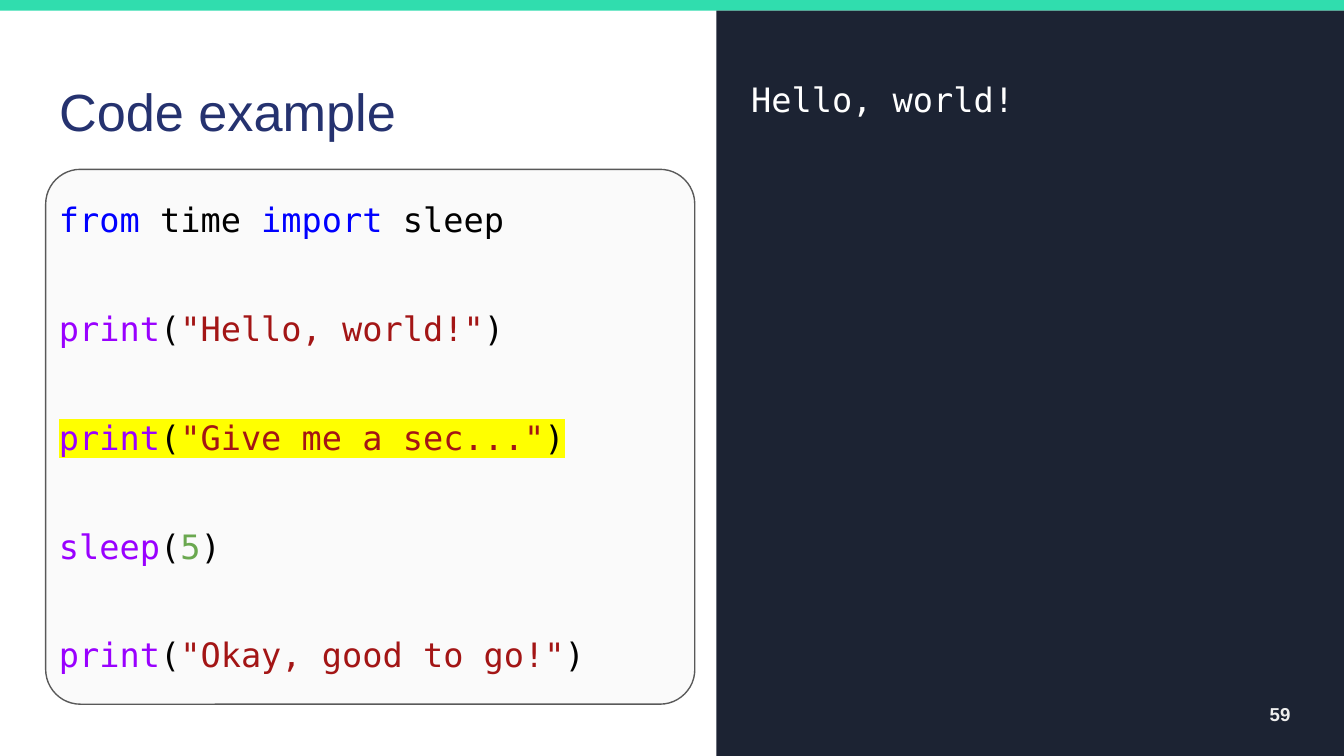
from dataclasses import dataclass
from typing import NamedTuple, Optional

from lxml.etree import SubElement
from pptx import Presentation
from pptx.dml.color import RGBColor as RGB
from pptx.enum.shapes import MSO_SHAPE as Shape
from pptx.enum.text import MSO_ANCHOR as Anchor, MSO_AUTO_SIZE as AutoSize, PP_ALIGN as Align
from pptx.oxml.ns import qn
from pptx.util import Inches, Pt


@dataclass(frozen=True)
class Theme:
    accent: str = "30DDAE"
    console: str = "1C2333"
    card: str = "FAFAFA"
    card_line: str = "595959"
    title: str = "25326F"
    keyword: str = "0000FF"
    plain: str = "000000"
    call: str = "9900FF"
    string: str = "A31515"
    number: str = "6AA84F"
    highlight: str = "FFFF00"
    output: str = "FFFFFF"
    page: str = "EEEEEE"
    sans: str = "Arial"
    mono: str = "DejaVu Sans Mono"
    title_size: int = 28
    code_size: int = 18
    page_size: int = 10


class Box(NamedTuple):
    left: float
    top: float
    width: float
    height: float

    def lengths(self) -> list:
        return [Inches(value) for value in self]


class Token(NamedTuple):
    text: str
    color: str


class CodeLine(NamedTuple):
    tokens: list[Token]
    highlight: Optional[str] = None


THEME = Theme()


def call_line(function: str, argument: str, color: str, highlight: Optional[str] = None) -> CodeLine:
    tokens = [Token(function, THEME.call), Token("(", THEME.plain),
              Token(argument, color), Token(")", THEME.plain)]
    return CodeLine(tokens, highlight)


CODE = [
    CodeLine([Token("from", THEME.keyword), Token(" time ", THEME.plain),
              Token("import", THEME.keyword), Token(" sleep", THEME.plain)]),
    call_line("print", '"Hello, world!"', THEME.string),
    call_line("print", '"Give me a sec..."', THEME.string, THEME.highlight),
    call_line("sleep", "5", THEME.number),
    call_line("print", '"Okay, good to go!"', THEME.string),
]


def apply(target, **values) -> None:
    for name, value in values.items():
        setattr(target, name, value)


def add_panel(slide, kind: Shape, box: Box, fill: str, line: Optional[str] = None):
    panel = slide.shapes.add_shape(kind, *box.lengths())
    panel.shadow.inherit = False
    panel.fill.solid()
    panel.fill.fore_color.rgb = RGB.from_string(fill)
    if line:
        panel.line.color.rgb = RGB.from_string(line)
        panel.line.width = Pt(0.75)
    else:
        panel.line.fill.background()
    return panel


def set_frame(frame, anchor: Anchor = Anchor.TOP, top_inset: float = 0.1) -> None:
    inset = Inches(0.1)
    apply(frame, word_wrap=True, auto_size=AutoSize.NONE, vertical_anchor=anchor,
          margin_left=inset, margin_right=inset, margin_bottom=inset,
          margin_top=Inches(top_inset))


def add_run(paragraph, token: Token, font: str, size: int,
            bold: bool = False, highlight: Optional[str] = None) -> None:
    run = paragraph.add_run()
    run.text = token.text
    apply(run.font, name=font, size=Pt(size), bold=bold)
    run.font.color.rgb = RGB.from_string(token.color)
    if highlight:
        properties = run._r.get_or_add_rPr()
        marker = SubElement(properties, qn("a:highlight"))
        SubElement(marker, qn("a:srgbClr"), val=highlight)
        properties.find(qn("a:solidFill")).addnext(marker)


def add_text_box(slide, box: Box, **frame_format):
    frame = slide.shapes.add_textbox(*box.lengths()).text_frame
    set_frame(frame, **frame_format)
    return frame


def add_title(slide, box: Box, text: str) -> None:
    title = slide.shapes.title
    apply(title, **dict(zip(("left", "top", "width", "height"), box.lengths())))
    set_frame(title.text_frame)
    heading = title.text_frame.paragraphs[0]
    heading.alignment = Align.LEFT
    add_run(heading, Token(text, THEME.title), THEME.sans, THEME.title_size)


def add_code(slide, box: Box, lines: list[CodeLine]) -> None:
    frame = add_text_box(slide, box)
    for index, line in enumerate(lines):
        paragraph = frame.add_paragraph() if index else frame.paragraphs[0]
        apply(paragraph, line_spacing=1.36, space_before=Pt(29 if index else 0))
        for token in line.tokens:
            add_run(paragraph, token, THEME.mono, THEME.code_size, highlight=line.highlight)


def main() -> None:
    deck = Presentation()
    apply(deck, slide_width=Inches(10), slide_height=Inches(10) * 9 // 16)
    slide = deck.slides.add_slide(deck.slide_layouts[5])

    add_panel(slide, Shape.RECTANGLE, Box(-0.01, 0, 10.02, 0.08), THEME.accent)
    add_panel(slide, Shape.RECTANGLE, Box(5.33, 0.08, 4.67, 5.56), THEME.console)
    card = add_panel(slide, Shape.ROUNDED_RECTANGLE, Box(0.34, 1.26, 4.83, 3.98),
                     THEME.card, THEME.card_line)
    card.adjustments[0] = 0.065

    add_title(slide, Box(0.34, 0.49, 9.32, 0.63), "Code example")
    add_code(slide, Box(0.34, 1.27, 4.99, 3.96), CODE)

    console = add_text_box(slide, Box(5.49, 0.2, 4.45, 5.21), top_inset=0.34).paragraphs[0]
    console.line_spacing = 1.15
    add_run(console, Token("Hello, world!", THEME.output), THEME.mono, THEME.code_size)

    page = add_text_box(slide, Box(9.1, 5.1, 0.6, 0.43), anchor=Anchor.MIDDLE).paragraphs[0]
    page.alignment = Align.RIGHT
    add_run(page, Token("59", THEME.page), THEME.sans, THEME.page_size, bold=True)

    deck.save("out.pptx")


if __name__ == "__main__":
    main()
